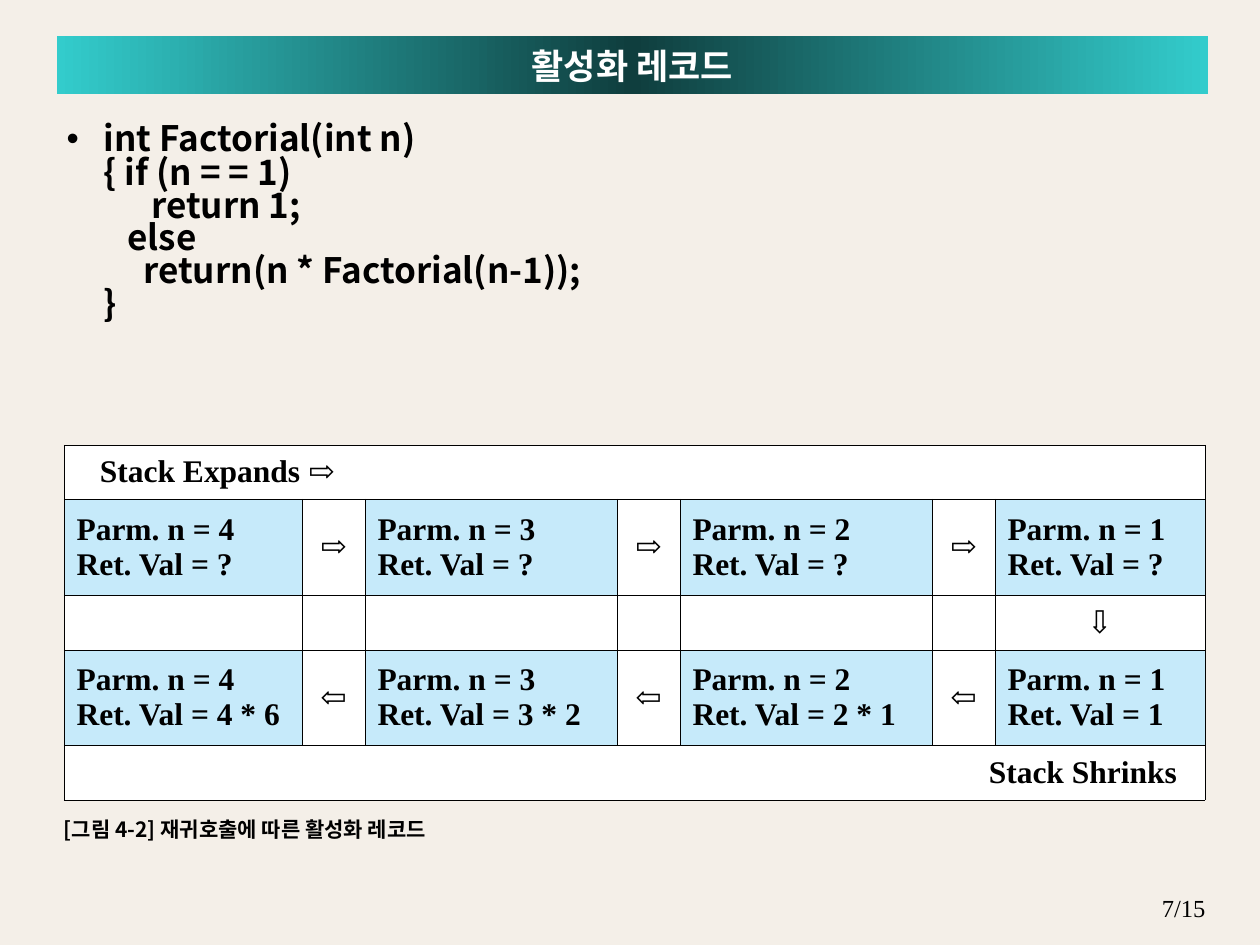
"""Build the activation record slide with its recursion stack table."""
from lxml.etree import SubElement
from pptx import Presentation
from pptx.dml.color import RGBColor
from pptx.enum.text import MSO_ANCHOR, MSO_AUTO_SIZE, PP_ALIGN
from pptx.oxml import parse_xml
from pptx.oxml.ns import nsdecls, qn
from pptx.util import Emu, Pt

PX = 914400 / 126
BLACK = RGBColor(0x00, 0x00, 0x00)
WHITE = RGBColor(0xFF, 0xFF, 0xFF)
CREAM = RGBColor(0xF4, 0xEF, 0xE8)
SKY = RGBColor(0xC6, 0xEA, 0xFA)
TEAL = RGBColor(0x33, 0xCC, 0xCC)
DARK_TEAL = RGBColor(0x0F, 0x3E, 0x3E)
SANS = "Noto Sans CJK KR"
SERIF = "Times New Roman"


def px(n):
    return Emu(round(n * PX))


def add_run(p, text, size, font, color=BLACK, bold=True):
    r = p.add_run()
    r.text = text
    r.font.size = Pt(size)
    r.font.bold = bold
    r.font.color.rgb = color
    r.font.name = font
    SubElement(r.font._element, qn("a:ea"), typeface=font)


prs = Presentation()
prs.slide_width, prs.slide_height = px(1260), px(945)
s = prs.slides.add_slide(prs.slide_layouts[1])
s.background.fill.solid()
s.background.fill.fore_color.rgb = CREAM

title = s.shapes.title
title.left, title.top, title.width, title.height = px(57), px(36), px(1151), px(58)
stops = "".join(
    f'<a:gs pos="{pos}"><a:srgbClr val="{color}"/></a:gs>'
    for pos, color in ((0, TEAL), (50000, DARK_TEAL), (100000, TEAL))
)
title._element.spPr.append(parse_xml(
    f'<a:gradFill {nsdecls("a")} rotWithShape="1"><a:gsLst>{stops}</a:gsLst>'
    '<a:lin ang="0" scaled="0"/></a:gradFill>'
))
tf = title.text_frame
tf.auto_size = MSO_AUTO_SIZE.NONE
tf.vertical_anchor = MSO_ANCHOR.MIDDLE
tf.paragraphs[0].alignment = PP_ALIGN.CENTER
add_run(tf.paragraphs[0], "활성화 레코드", 20, SANS, WHITE)

body = s.placeholders[1]
body.left, body.top, body.width, body.height = px(54), px(115), px(1142), px(774)
tf = body.text_frame
tf.auto_size = MSO_AUTO_SIZE.NONE
code = [
    "int Factorial(int n)",
    "{ if (n = = 1)",
    "      return 1;",
    "   else",
    "     return(n * Factorial(n-1));",
    "}",
]
for i, line in enumerate(code):
    p = tf.add_paragraph() if i else tf.paragraphs[0]
    pPr = p._p.get_or_add_pPr()
    pPr.set("marL", str(px(37)))
    pPr.set("indent", str(0 if i else -px(37)))
    if i:
        SubElement(pPr, qn("a:buNone"))
    else:
        SubElement(pPr, qn("a:buChar"), char="•")
    p.line_spacing = 0.7 if i else 0.9
    p.space_before = Pt(1.8 if i else 0)
    add_run(p, line, 20, SANS)

labels = [
    (64, 810, 507, 38, 0, PP_ALIGN.LEFT, "[그림 4-2] 재귀호출에 따른 활성화 레코드", 12, SANS, True),
    (1116, 887, 102, 42, 13, PP_ALIGN.RIGHT, "7/15", 14, SERIF, False),
]
for x, y, w, h, inset, align, text, size, font, bold in labels:
    tf = s.shapes.add_textbox(px(x), px(y), px(w), px(h)).text_frame
    tf.word_wrap = True
    tf.margin_left = px(inset)
    tf.paragraphs[0].alignment = align
    add_run(tf.paragraphs[0], text, size, font, bold=bold)

cols = [238, 63, 252, 63, 252, 63, 210]
rows = [54, 96, 55, 95, 55]
params = [4, 3, 2, 1]
contents = {(0, 0): ["Stack Expands ⇨"], (2, 6): ["⇩"], (4, 0): ["Stack Shrinks"]}
stack_rows = [(1, "⇨", ["?"] * 4), (3, "⇦", ["4 * 6", "3 * 2", "2 * 1", "1"])]
for row, arrow, values in stack_rows:
    for i, (n, value) in enumerate(zip(params, values)):
        contents[row, 2 * i] = [f"Parm. n = {n}", f"Ret. Val = {value}"]
    for col in (1, 3, 5):
        contents[row, col] = [arrow]

table = s.shapes.add_table(
    len(rows), len(cols), px(64), px(445), px(sum(cols)), px(sum(rows))
).table
table.first_row = table.horz_banding = False
for col, w in zip(table.columns, cols):
    col.width = px(w)
for row, h in zip(table.rows, rows):
    row.height = px(h)
for row in (0, 4):
    table.cell(row, 0).merge(table.cell(row, 6))

for row in range(len(rows)):
    for col in range(len(cols)):
        cell = table.cell(row, col)
        lines = contents.get((row, col), [])
        tcPr = cell._tc.get_or_add_tcPr()
        for side in ("lnL", "lnR", "lnT", "lnB"):
            tcPr.append(parse_xml(
                f'<a:{side} {nsdecls("a")} w="762"><a:solidFill>'
                f'<a:srgbClr val="{BLACK}"/></a:solidFill></a:{side}>'
            ))
        cell.fill.solid()
        cell.fill.fore_color.rgb = SKY if len(lines) == 2 else WHITE
        cell.vertical_anchor = MSO_ANCHOR.MIDDLE
        for i, line in enumerate(lines):
            p = cell.text_frame.add_paragraph() if i else cell.text_frame.paragraphs[0]
            p.alignment = PP_ALIGN.CENTER if len(line) == 1 else PP_ALIGN.LEFT
            add_run(p, line, 18, SERIF)

table.cell(0, 0).margin_left = px(36)
table.cell(4, 0).margin_right = px(28)
table.cell(4, 0).text_frame.paragraphs[0].alignment = PP_ALIGN.RIGHT

prs.save("out.pptx")
